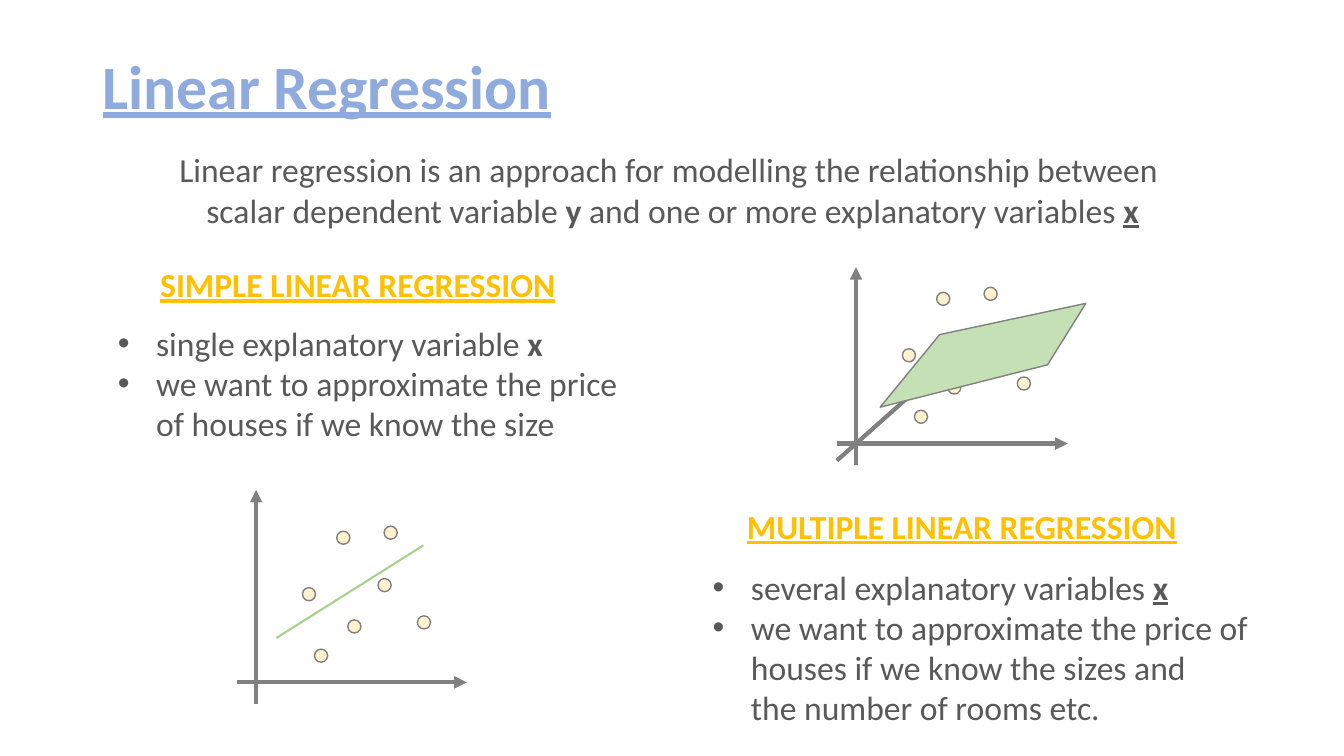
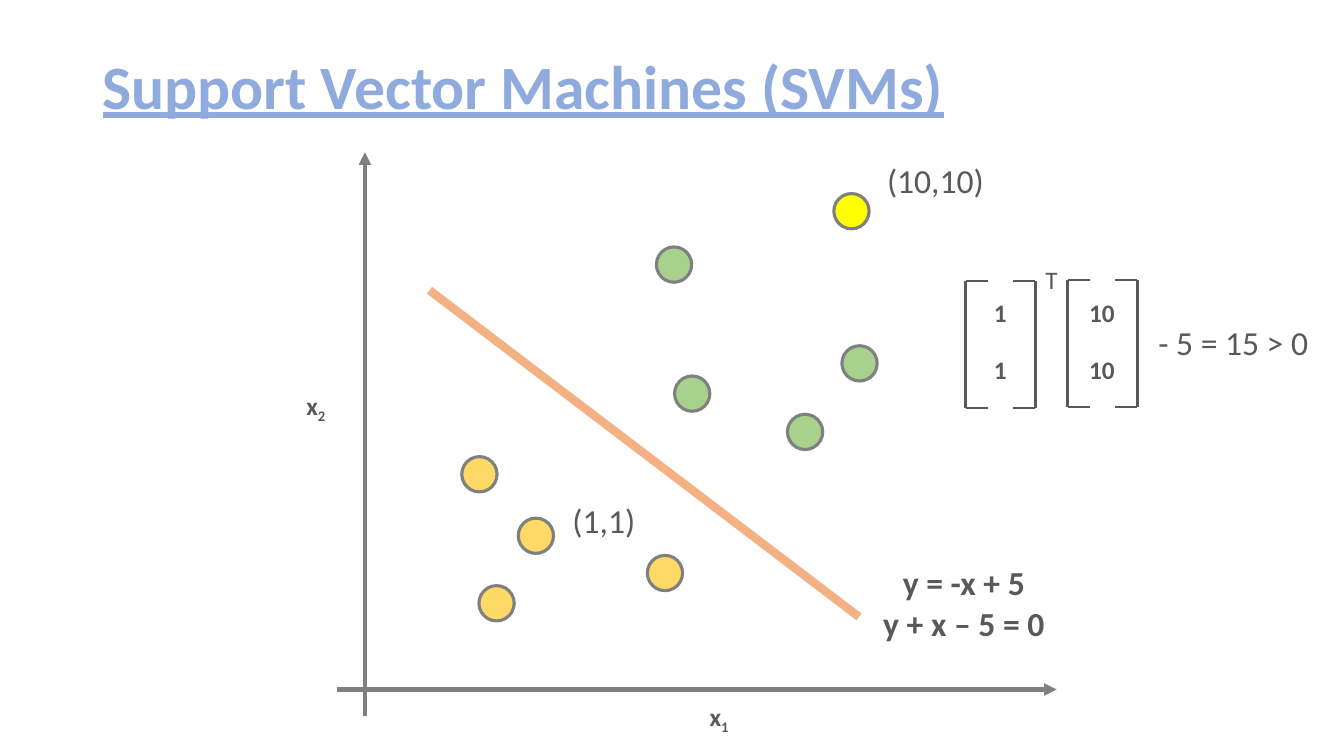
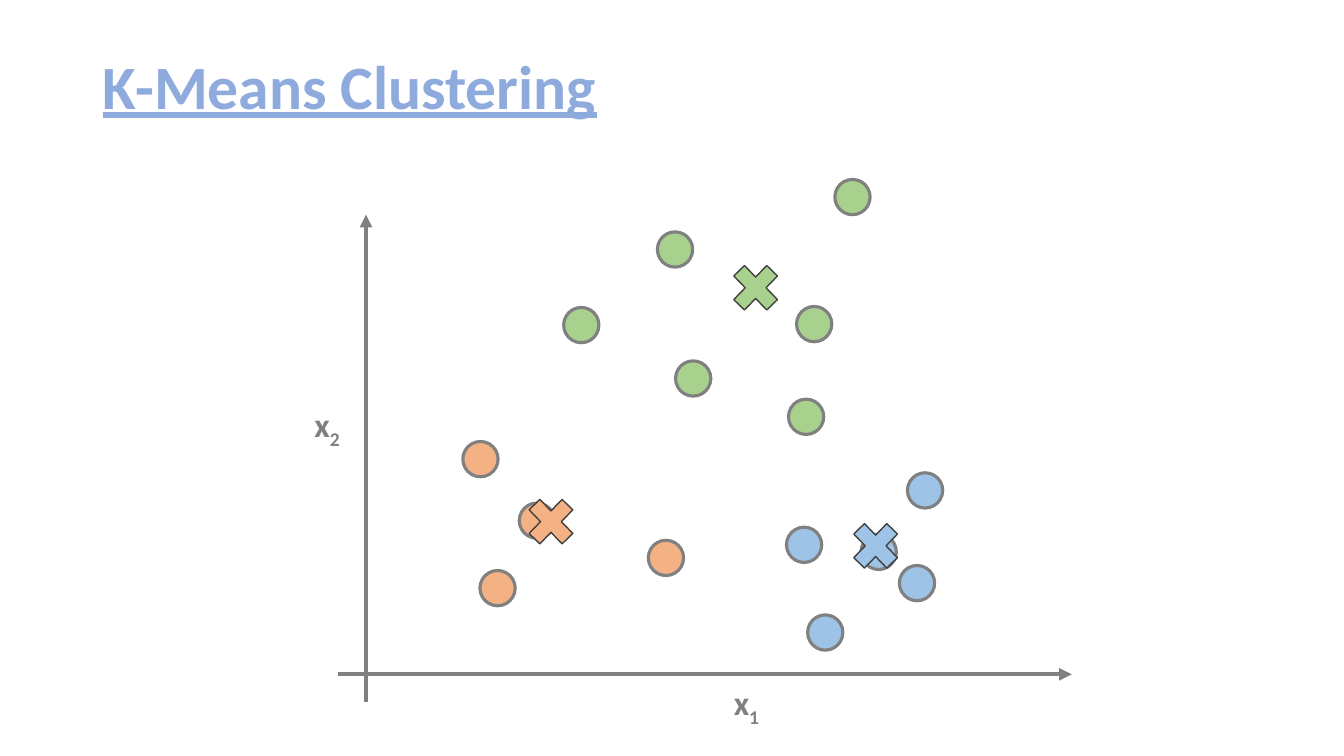
from dataclasses import dataclass

from lxml import etree
from pptx import Presentation, util as u
from pptx.dml.color import RGBColor
from pptx.enum import shapes, text
from pptx.oxml.ns import qn


@dataclass(frozen=True)
class Theme:
    font: str = "Calibri"
    title: str = "8FAADC"
    head: str = "FFC000"
    ink: str = "595959"
    grey: str = "808080"
    dark: str = "404040"
    cream: str = "FFF2CC"
    gold: str = "FFD966"
    bright: str = "FFFF00"
    green: str = "A9D18E"
    pale: str = "C5E0B4"
    peach: str = "F4B183"
    blue: str = "9DC3E6"
    big: int = 44
    body: int = 24
    small: int = 18


T = Theme()
OVAL = shapes.MSO_SHAPE.OVAL
CROSS = shapes.MSO_SHAPE.MATH_MULTIPLY
MID = text.PP_ALIGN.CENTER
BOLD = {"bold": True}
MARK = {"bold": True, "underline": True}
SUB = {"bold": True, "base": -25000}


class Deck:
    """Holds the style and the slide being drawn."""

    def __init__(self):
        self.prs = Presentation()
        self.prs.slide_width = u.Inches(13.33)
        self.prs.slide_height = u.Inches(7.5)

    def slide(self, title):
        self.page = self.prs.slides.add_slide(self.prs.slide_layouts[6]).shapes
        box = self.text((0.92, 0.16, 11.5, 1.45), [[(title, MARK)]],
                        T.big, T.title, wrap=True)
        box.vertical_anchor = text.MSO_ANCHOR.MIDDLE
        box.paragraphs[0].line_spacing = 0.9

    def text(self, at, paras, size=T.body, color=T.ink,
             align=None, wrap=False, bullet=False):
        """Each paragraph is a list of (words, format) runs; a newline breaks a line."""
        frame = self.page.add_textbox(*map(u.Inches, at)).text_frame
        frame.word_wrap = wrap
        if not wrap:
            frame.auto_size = text.MSO_AUTO_SIZE.SHAPE_TO_FIT_TEXT
        for n, runs in enumerate(paras):
            para = frame.add_paragraph() if n else frame.paragraphs[0]
            para.alignment = align
            if bullet:
                self.bullet(para)
            for words, form in runs:
                for i, piece in enumerate(words.split("\n")):
                    if i:
                        para.add_line_break()
                    self.run(para, piece, size, color, form)
        return frame

    def run(self, para, words, size, color, form):
        run = para.add_run()
        run.text = words
        form = {"name": T.font, "size": u.Pt(size), **form}
        base = form.pop("base", None)
        for key, val in form.items():
            setattr(run.font, key, val)
        run.font.color.rgb = RGBColor.from_string(color)
        if base:
            run._r.get_or_add_rPr().set("baseline", str(base))

    def bullet(self, para):
        props = para._p.get_or_add_pPr()
        props.set("marL", str(u.Inches(0.38)))
        props.set("indent", str(-u.Inches(0.38)))
        etree.SubElement(props, qn("a:buFont")).set("typeface", "Arial")
        etree.SubElement(props, qn("a:buChar")).set("char", "•")

    def paint(self, item, fill, edge, width):
        item.shadow.inherit = False
        item.fill.solid()
        item.fill.fore_color.rgb = RGBColor.from_string(fill)
        item.line.color.rgb = RGBColor.from_string(edge)
        item.line.width = u.Pt(width)

    def shape(self, kind, at, fill, edge=T.grey, width=1):
        item = self.page.add_shape(kind, *map(u.Inches, at))
        self.paint(item, fill, edge, width)

    def dots(self, spots, fill, side=0.35, width=2.25, shift=(0, 0)):
        for x, y in spots:
            self.shape(OVAL, (x + shift[0], y + shift[1], side, side), fill, width=width)

    def cross(self, x, y, fill):
        self.shape(CROSS, (x, y, 0.63, 0.65), fill, T.dark)

    def plane(self, spots, fill):
        first, *rest = [tuple(map(u.Inches, spot)) for spot in spots]
        form = self.page.build_freeform(*first)
        form.add_line_segments(rest)
        self.paint(form.convert_to_shape(), fill, T.grey, 1)

    def line(self, start, end, color=T.grey, width=3, arrow=False):
        item = self.page.add_connector(shapes.MSO_CONNECTOR.STRAIGHT,
                                       *map(u.Inches, (*start, *end)))
        item.line.color.rgb = RGBColor.from_string(color)
        item.line.width = u.Pt(width)
        if arrow:
            stroke = item.line._get_or_add_ln()
            etree.SubElement(stroke, qn("a:tailEnd")).set("type", "triangle")
        etree.SubElement(item._element.spPr, qn("a:effectLst"))

    def axes(self, x, y, left, right, low, top):
        """Draws two arrows that cross at x, y."""
        self.line((x, low), (x, top), arrow=True)
        self.line((left, y), (right, y), arrow=True)

    def label(self, x, y, digit, size, color):
        self.text((x, y, 0.47, size / 60 + 0.1),
                  [[("x", BOLD), (digit, SUB)]], size, color)

    def matrix(self, x, y, num):
        """Draws a bracketed column that holds num twice."""
        low = y + 1.26
        for edge, tick in ((x, 0.22), (x + 0.69, -0.22)):
            self.line((edge, y), (edge, low), T.ink, 2.25)
            for end in (y, low):
                self.line((edge, end), (edge + tick, end), T.ink, 1.5)
        for top in (2.9, 3.47):
            self.text((x + 0.11, top, 0.46, 0.4), [[(num, BOLD)]], T.small, align=MID)


SCATTER = [(3.34, 5.27), (3.81, 5.22), (3.12, 6.44), (4.14, 6.11),
           (3.75, 5.74), (3, 5.83), (3.45, 6.15)]
LOWER = [(4.58, 4.53), (4.75, 5.81), (5.14, 5.14), (6.42, 5.51)]
UPPER = [(6.51, 2.45), (6.69, 3.73), (7.81, 4.11)]


def linear(deck):
    deck.slide("Linear Regression")
    deck.text((1.63, 1.43, 10.08, 0.91), [
        [("Linear regression is an approach for modelling the relationship between ", {})],
        [("scalar dependent variable ", {}), ("y", BOLD),
         (" and one or more explanatory variables ", {}), ("x", MARK)]], align=MID)

    for at, head in (((1.49, 2.57, 4.24, 0.5), "SIMPLE LINEAR REGRESSION"),
                     ((7.31, 4.97, 4.5, 0.5), "MULTIPLE LINEAR REGRESSION")):
        deck.text(at, [[(head, MARK)]], color=T.head)
    deck.text((1.07, 3.15, 5.33, 1.31), [
        [("single explanatory variable ", {}), ("x", BOLD)],
        [("we want to approximate the price\nof houses if we know the size", {})]],
        bullet=True)
    deck.text((6.97, 5.57, 5.63, 1.72), [
        [("several explanatory variables ", {}), ("x", MARK)],
        [("we want to approximate the price of\nhouses if we know the sizes and\n"
          "the number of rooms etc.", {})]], bullet=True)

    deck.axes(2.54, 6.77, 2.35, 4.63, 6.98, 4.86)
    deck.axes(8.49, 4.4, 8.3, 10.59, 4.61, 2.65)
    for shift in ((0, 0), (5.95, -2.37)):
        deck.dots(SCATTER, T.cream, 0.13, 1, shift)
    deck.line((2.74, 6.33), (4.2, 5.41), T.green, 1.5)
    deck.line((8.3, 4.57), (9.83, 3.21), arrow=True)
    deck.plane([(8.73, 4.04), (9.32, 3.32), (10.77, 3.01), (10.39, 3.62)], T.pale)


def vector(deck):
    deck.slide("Support Vector Machines (SVMs)")
    deck.axes(3.62, 6.84, 3.34, 10.48, 7.1, 1.51)
    deck.label(6.94, 6.91, "1", T.small, T.ink)
    deck.label(2.94, 3.82, "2", T.small, T.ink)
    deck.dots(LOWER, T.gold)
    deck.dots(UPPER + [(8.35, 3.43)], T.green)
    deck.dots([(8.27, 1.92)], T.bright)
    deck.line((4.26, 2.88), (8.52, 6.12), T.peach, 6)
    deck.text((8.66, 5.53, 1.8, 0.91),
              [[("y = -x + 5", BOLD)], [("y + x – 5 = 0", BOLD)]], align=MID)
    deck.matrix(9.58, 2.79, "1")
    deck.matrix(10.59, 2.78, "10")
    for at, words, size in (((8.7, 1.54, 1.17, 0.5), "(10,10)", T.body),
                            ((5.58, 4.91, 0.83, 0.5), "(1,1)", T.body),
                            ((10.27, 2.57, 0.32, 0.4), "T", T.small),
                            ((11.39, 3.14, 1.7, 0.5), "- 5 = 15 > 0", T.body)):
        deck.text(at, [[(words, {})]], size)


def cluster(deck):
    deck.slide("K-Means Clustering")
    deck.axes(3.63, 6.69, 3.35, 10.63, 6.96, 2.13)
    deck.label(3.02, 3.96, "2", T.body, T.grey)
    deck.label(7.18, 6.72, "1", T.body, T.grey)
    shift = (0.01, -0.15)
    deck.dots(LOWER, T.peach, shift=shift)
    deck.dots(UPPER, T.green, shift=shift)
    deck.dots([(7.9, 3.04), (8.28, 1.78), (5.59, 3.05)], T.green)
    deck.dots([(7.8, 5.23), (8.92, 5.61), (9, 4.69), (8.01, 6.1), (8.54, 5.3)], T.blue)
    for x, y, fill in ((5.15, 4.85, T.peach), (7.18, 2.53, T.green), (8.37, 5.09, T.blue)):
        deck.cross(x, y, fill)


def main():
    deck = Deck()
    for draw in (linear, vector, cluster):
        draw(deck)
    deck.prs.save("out.pptx")


if __name__ == "__main__":
    main()
